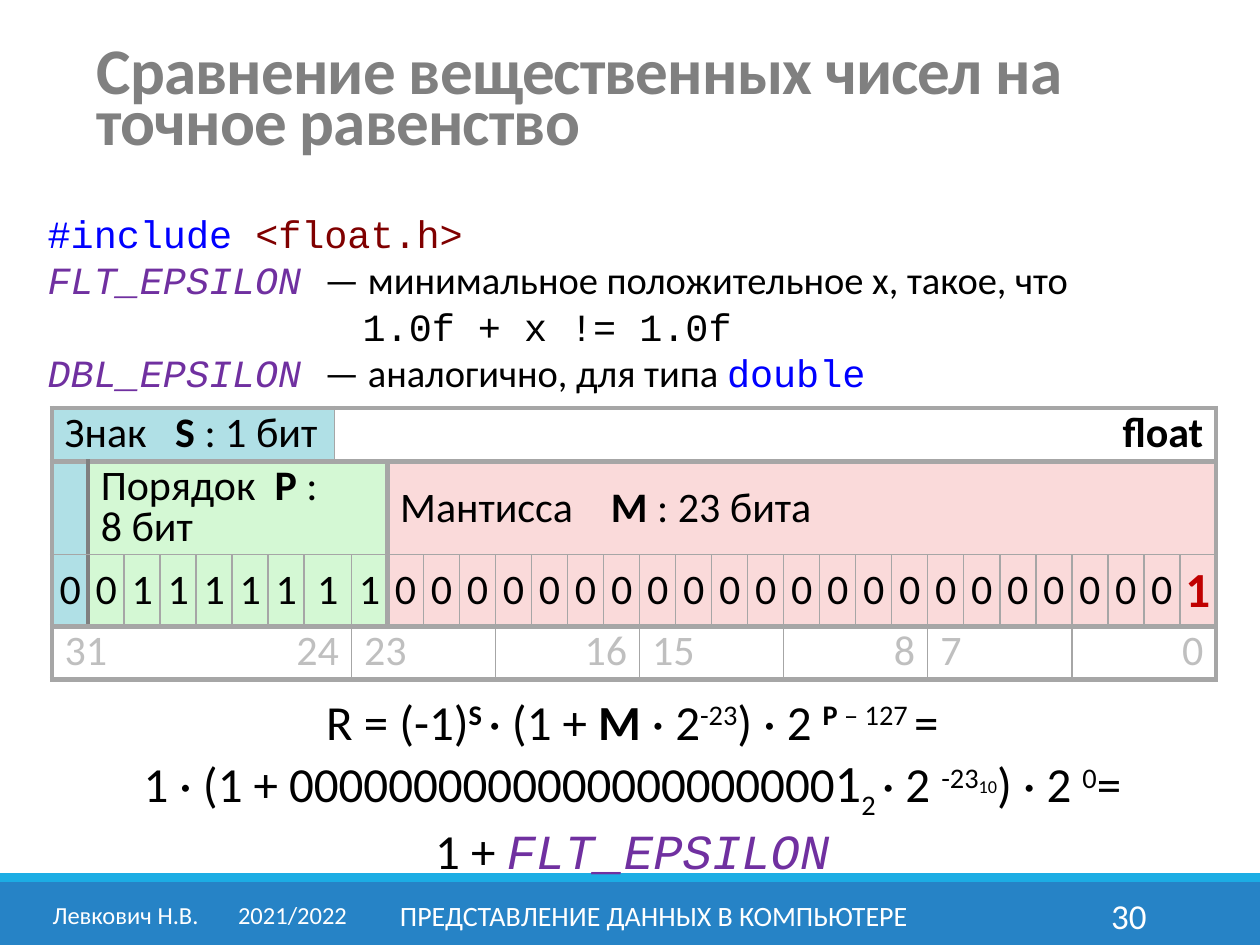
from lxml import etree
from pptx import Presentation
from pptx.dml.color import RGBColor
from pptx.enum.shapes import MSO_SHAPE
from pptx.enum.text import MSO_ANCHOR as ANCHOR, MSO_AUTO_SIZE as AUTO, PP_ALIGN as ALIGN
from pptx.oxml.ns import qn
from pptx.util import Pt

BLACK, WHITE, GREY, EDGE, DARK_EDGE = "000000", "FFFFFF", "BFBFBF", "A6A6A6", "808080"
BLUE, PURPLE, MAROON, RED = "0000FF", "7030A0", "800000", "C00000"
SIGN, EXPONENT, MANTISSA = "B0E0E6", "D4F8D4", "FADADA"
NO_STYLE = "{2D5ABB26-0587-4C30-8999-92F81FD0307C}"

BOLD = {"bold": True}
SUP = {"baseline": 30000}
SUB = {"baseline": -25000}
BOLD_SUP = BOLD | SUP
CODE = {"name": "Courier New"}
KEYWORD = CODE | {"color": BLUE}
CONSTANT = CODE | {"color": PURPLE, "italic": True}

COLUMNS = [20.6] * 7 + [15.6, 9.8] + [20.6] * 24
ROWS = [30.5, 53, 41, 30.5]


def rgb(value):
    return RGBColor.from_string(value)


def add_run(p, text, fmt):
    r = p.add_run()
    r.text = text
    for key, value in fmt.items():
        if key == "color":
            r.font.color.rgb = rgb(value)
        elif key in ("baseline", "spc"):
            r.font._element.set(key, str(value))
        else:
            setattr(r.font, key, Pt(value) if key == "size" else value)


def add_tab(p, position):
    tabs = etree.SubElement(p._p.get_or_add_pPr(), qn("a:tabLst"))
    etree.SubElement(tabs, qn("a:tab"), pos=str(Pt(position)), algn="l")


def write(tf, paragraphs, size, color=BLACK, align=ALIGN.LEFT, spacing=None, tab=None, **fmt):
    """Fill a frame; a run is a string or a (string, format) pair, and a newline breaks the line."""
    base = {"name": "Calibri", "size": size, "color": color} | fmt
    for i, runs in enumerate(paragraphs):
        p = tf.add_paragraph() if i else tf.paragraphs[0]
        p.alignment, p.line_spacing = align, spacing
        if tab:
            add_tab(p, tab)
        for run in runs:
            text, own = (run, {}) if isinstance(run, str) else run
            for n, line in enumerate(text.split("\n")):
                if n:
                    p.add_line_break()
                add_run(p, line, base | own)


def add_text(slide, box, paragraphs, size, anchor=ANCHOR.MIDDLE, grow=False, **fmt):
    tf = slide.shapes.add_textbox(*map(Pt, box)).text_frame
    tf.word_wrap, tf.vertical_anchor = True, anchor
    tf.auto_size = AUTO.SHAPE_TO_FIT_TEXT if grow else AUTO.NONE
    write(tf, paragraphs, size, **fmt)


def add_bar(slide, top, height, color):
    s = slide.shapes.add_shape(MSO_SHAPE.RECTANGLE, 0, Pt(top), Pt(720), Pt(height))
    s.shadow.inherit = False
    s.fill.solid()
    s.fill.fore_color.rgb = rgb(color)
    s.line.fill.background()


def add_border(cell, side, width, color):
    ln = etree.SubElement(cell._tc.get_or_add_tcPr(), qn("a:ln" + side), w=str(Pt(width)))
    fill = etree.SubElement(ln, qn("a:solidFill"))
    etree.SubElement(fill, qn("a:srgbClr"), val=color)


def draw_borders(cell, row, start, end):
    """Thick lines frame the table and its fields; thin ones part the bits and bytes."""
    fields = row in (1, 2)
    thick_x = (0, 1, 10, 33) if fields else (0, 33)
    for side, x in (("L", start), ("R", end)):
        if row < 3 or x in (0, 9, 17, 25, 33):
            color = DARK_EDGE if fields and x == 1 else EDGE
            add_border(cell, side, 3 if x in thick_x else 1, color)
    for side, y in (("T", row), ("B", row + 1)):
        add_border(cell, side, 1 if y == 2 else 3, EDGE)


def layout_rows():
    """Cells of each row as (span, fill, runs, format)."""
    tight = {"spacing": 0.8}
    right = tight | {"align": ALIGN.RIGHT}
    centre = {"align": ALIGN.CENTER}
    header = [(8, SIGN, ["Знак   ", ("S ", BOLD), ": 1 бит"], tight),
              (25, None, ["   ", ("float", BOLD)], right)]
    fields = [(1, SIGN, [], {}),
              (9, EXPONENT, ["Порядок  ", ("P", BOLD), " :\n8 бит"], tight),
              (23, MANTISSA, ["Мантисса    ", ("M ", BOLD), ": 23 бита"], {})]
    bits = [(1, SIGN, ["0"], centre)]
    bits += [(2 if i == 6 else 1, EXPONENT, [bit], centre) for i, bit in enumerate("01111111")]
    bits += [(1, MANTISSA, ["0"], centre)] * 22
    bits.append((1, MANTISSA, ["1"], centre | BOLD | {"size": 28, "color": RED}))
    positions = []
    for high in (31, 23, 15, 7):
        positions += [(4, None, [str(high)], tight | {"color": GREY}),
                      (5 if high == 31 else 4, None, [str(high - 7)], right | {"color": GREY})]
    return [header, fields, bits, positions]


def add_float_table(slide):
    frame = slide.shapes.add_table(len(ROWS), len(COLUMNS), Pt(29.8), Pt(233.2),
                                   Pt(sum(COLUMNS)), Pt(sum(ROWS)))
    table = frame.table
    table.first_row = table.horz_banding = False
    table._tbl.tblPr[0].text = NO_STYLE
    for column, width in zip(table.columns, COLUMNS):
        column.width = Pt(width)
    for row, height in zip(table.rows, ROWS):
        row.height = Pt(height)
    for r, cells in enumerate(layout_rows()):
        start = 0
        for span, fill, runs, fmt in cells:
            end = start + span
            cell = table.cell(r, start)
            if span > 1:
                cell.merge(table.cell(r, end - 1))
            cell.vertical_anchor = ANCHOR.TOP if (r, end) == (0, 33) else ANCHOR.MIDDLE
            if r == 2:
                cell.margin_left = cell.margin_right = Pt(3)
            draw_borders(cell, r, start, end)
            if fill:
                cell.fill.solid()
                cell.fill.fore_color.rgb = rgb(fill)
            else:
                cell.fill.background()
            write(cell.text_frame, [runs], **({"size": 24} | fmt))
            start = end


def main():
    prs = Presentation()
    prs.slide_width, prs.slide_height = Pt(720), Pt(540)
    slide = prs.slides.add_slide(prs.slide_layouts[6])

    add_bar(slide, 504, 36, "2683C6")
    add_bar(slide, 499, 5, "1CADE4")
    add_text(slide, (584.6, 508.5, 77.8, 28.8), [["30"]], 20, color=WHITE, align=ALIGN.RIGHT)
    add_text(slide, (48.2, 26, 636.5, 67.7),
             [["Сравнение вещественных чисел на точное равенство"]],
             37.2, color="808080", spacing=0.65, spc=-50, **BOLD)
    add_text(slide, (20.2, 116.6, 674.6, 113.8), [
        [("#include", KEYWORD), (" ", CODE), ("<float.h>", CODE | {"color": MAROON})],
        [("FLT_EPSILON ", CONSTANT), "— минимальное положительное х, такое, что\n\t",
         ("1.0f + x != 1.0f", CODE)],
        [("DBL_EPSILON ", CONSTANT), "— аналогично, для типа ", ("double", KEYWORD)],
    ], 22, anchor=ANCHOR.TOP, grow=True, tab=180)
    add_text(slide, (23, 508.5, 188, 28.8), [["Левкович Н.В.\t2021/2022"]], 14,
             color=WHITE, tab=106)
    add_float_table(slide)
    add_text(slide, (1.4, 391.7, 720, 111.6), [
        ["R = (-1)", ("S ", BOLD_SUP), "· (1 + ", ("M ", BOLD), "· 2", ("-23", SUP), ") · 2 ",
         ("P", BOLD_SUP), (" – 127 ", SUP), "="],
        ["1 · (1 + 0000000000000000000000", ("1", {"size": 30}), ("2 ", SUB), "· 2 ",
         ("-23", SUP), ("10", SUP | {"size": 18}), ") · 2 ", ("0", SUP), "="],
        ["1 + ", ("FLT_EPSILON", CONSTANT)],
    ], 28, anchor=ANCHOR.TOP, grow=True, align=ALIGN.CENTER)
    add_text(slide, (217.4, 508.5, 312.5, 28.8), [["ПРЕДСТАВЛЕНИЕ ДАННЫХ В КОМПЬЮТЕРЕ"]], 16,
             color=WHITE, align=ALIGN.CENTER)

    prs.save("out.pptx")


if __name__ == "__main__":
    main()
